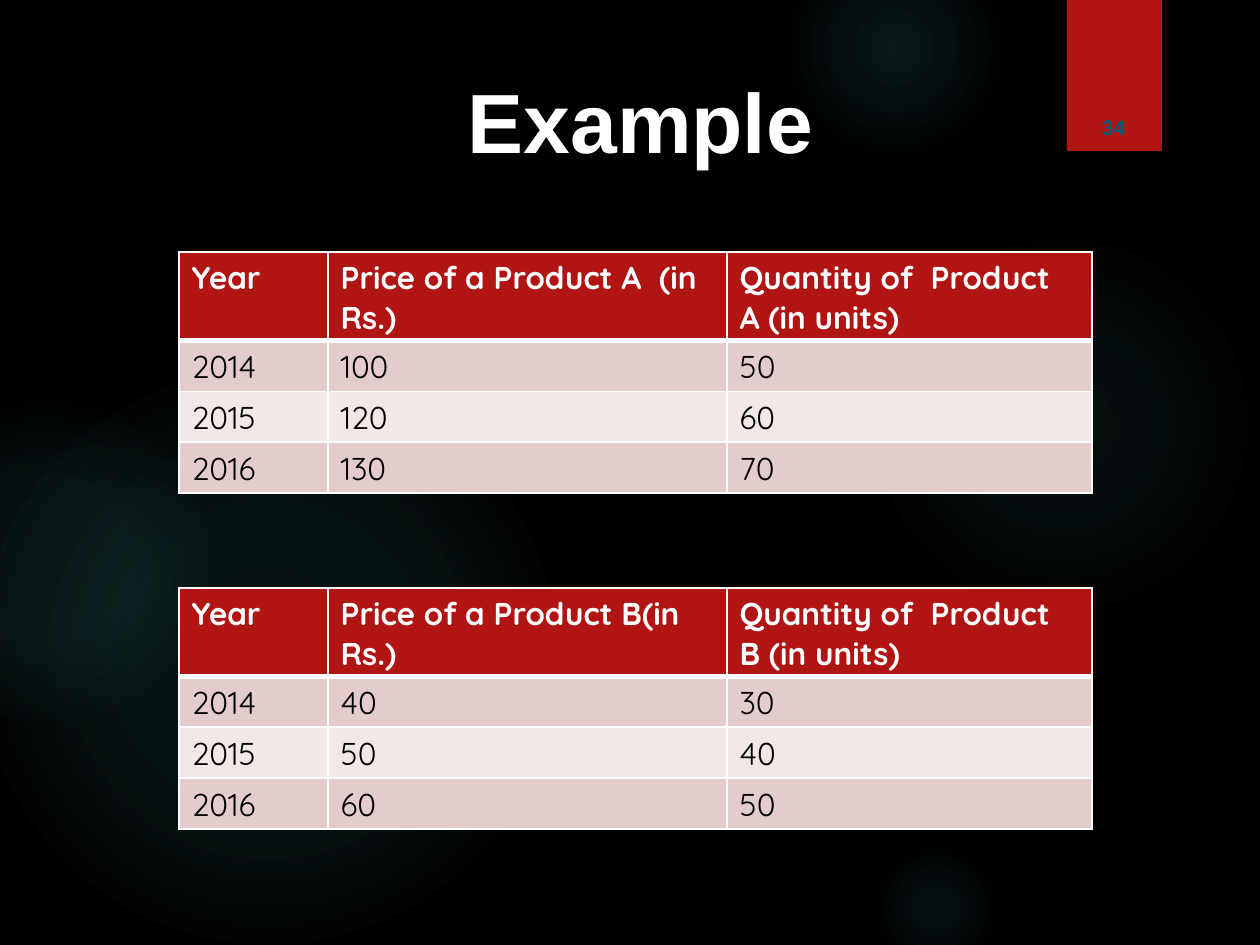
from lxml.etree import fromstring
from pptx import Presentation
from pptx.dml.color import RGBColor
from pptx.enum.shapes import MSO_SHAPE as SHAPE
from pptx.enum.text import MSO_ANCHOR as ANCHOR, PP_ALIGN as ALIGN
from pptx.oxml.ns import nsdecls
from pptx.util import Pt

PX = 914400 // 126
COLORS = {
    "background": "000000",
    "glow": "50B9C1",
    "red": "B01513",
    "white": "FFFFFF",
    "number": "045C75",
    "body": "000000",
    "odd_row": "E4CCCC",
    "even_row": "F2E8E7",
}


def rgb(name):
    return RGBColor.from_string(COLORS[name])


def style_text(text_frame, font_name, size, color, bold):
    font = text_frame.paragraphs[0].runs[0].font
    font.name, font.size, font.bold = font_name, Pt(size), bold
    font.color.rgb = rgb(color)


presentation = Presentation()
presentation.slide_width, presentation.slide_height = 1260 * PX, 945 * PX
slide = presentation.slides.add_slide(presentation.slide_layouts[6])
slide.background.fill.solid()
slide.background.fill.fore_color.rgb = rgb("background")

# Soft round glows: left, top, diameter, then (position, opacity) stops in percent
glows = [
    (868, 231, 388, [(0, 7), (36, 6), (69, 0)]),
    (784, -63, 220, [(0, 14), (36, 7), (73, 0)]),
    (868, 840, 136, [(0, 9), (36, 5), (66, 0)]),
    (-21, 368, 577, [(0, 11), (36, 10), (75, 0)]),
    (-116, 399, 325, [(0, 8), (36, 8), (72, 0)]),
]
for left, top, diameter, stops in glows:
    glow = slide.shapes.add_shape(
        SHAPE.OVAL, left * PX, top * PX, diameter * PX, diameter * PX)
    stop_xml = "".join(
        f'<a:gs pos="{position * 1000}"><a:srgbClr val="{COLORS["glow"]}">'
        f'<a:alpha val="{opacity * 1000}"/></a:srgbClr></a:gs>'
        for position, opacity in stops)
    glow._element.spPr.append(fromstring(
        f'<a:gradFill {nsdecls("a")}><a:gsLst>{stop_xml}</a:gsLst><a:path path="circle">'
        '<a:fillToRect l="50000" t="50000" r="50000" b="50000"/></a:path></a:gradFill>'))
    glow.line.fill.background()
    glow.shadow.inherit = False

ribbon = slide.shapes.add_shape(SHAPE.RECTANGLE, 1067 * PX, 0, 95 * PX, 151 * PX)
ribbon.fill.solid()
ribbon.fill.fore_color.rgb = rgb("red")
ribbon.line.fill.background()
ribbon.shadow.inherit = False

# Text boxes: text, left, top, width, height, anchor, size, colour
text_boxes = [
    ("34", 1070, 40, 87, 106, ANCHOR.BOTTOM, 12, "number"),
    ("Example", 105, 63, 1071, 115, ANCHOR.TOP, 48, "white"),
]
for text, left, top, width, height, anchor, size, color in text_boxes:
    text_box = slide.shapes.add_textbox(left * PX, top * PX, width * PX, height * PX)
    text_frame = text_box.text_frame
    text_frame.word_wrap = True
    text_frame.vertical_anchor = anchor
    text_frame.text = text
    text_frame.paragraphs[0].alignment = ALIGN.CENTER
    style_text(text_frame, "Arial", size, color, True)

column_widths = [149, 399, 365]
row_heights = [88, 51, 51, 51]
product_tables = [
    (252, [
        ("Year", "Price of a Product A  (in Rs.)", "Quantity of  Product  A (in units)"),
        ("2014", "100", "50"),
        ("2015", "120", "60"),
        ("2016", "130", "70"),
    ]),
    (588, [
        ("Year", "Price of a Product B(in Rs.)", "Quantity of  Product  B (in units)"),
        ("2014", "40", "30"),
        ("2015", "50", "40"),
        ("2016", "60", "50"),
    ]),
]
for top, rows in product_tables:
    table = slide.shapes.add_table(
        len(rows), len(column_widths), 179 * PX, top * PX,
        sum(column_widths) * PX, sum(row_heights) * PX).table
    for column, width in zip(table.columns, column_widths):
        column.width = width * PX
    for row_index, values in enumerate(rows):
        table.rows[row_index].height = row_heights[row_index] * PX
        is_header = row_index == 0
        fill = "red" if is_header else "odd_row" if row_index % 2 else "even_row"
        border_widths = {
            "lnL": 1,
            "lnR": 1,
            "lnT": 3 if row_index == 1 else 1,
            "lnB": 3 if is_header else 1,
        }
        for column_index, value in enumerate(values):
            cell = table.cell(row_index, column_index)
            cell.text_frame.text = value
            style_text(cell.text_frame, "Quicksand", 18,
                       "white" if is_header else "body", is_header)
            cell_properties = cell._tc.get_or_add_tcPr()
            for tag, width in border_widths.items():
                cell_properties.append(fromstring(
                    f'<a:{tag} {nsdecls("a")} w="{Pt(width)}"><a:solidFill>'
                    f'<a:srgbClr val="{COLORS["white"]}"/></a:solidFill></a:{tag}>'))
            cell.fill.solid()
            cell.fill.fore_color.rgb = rgb(fill)

presentation.save("out.pptx")
